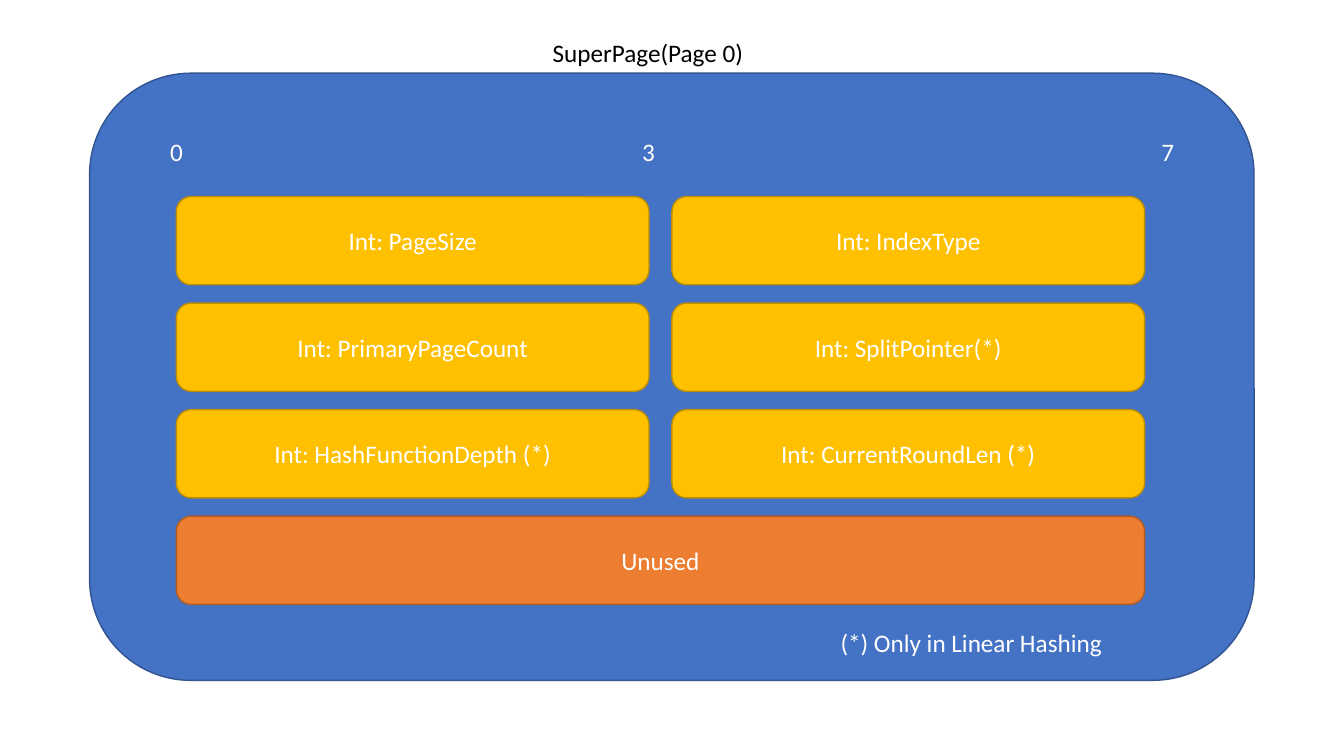
from dataclasses import dataclass

from pptx import Presentation
from pptx.dml.color import RGBColor
from pptx.enum.shapes import MSO_SHAPE
from pptx.enum.text import MSO_ANCHOR, MSO_AUTO_SIZE, PP_ALIGN
from pptx.util import Pt

ROUNDED = MSO_SHAPE.ROUNDED_RECTANGLE
TOP, MIDDLE = MSO_ANCHOR.TOP, MSO_ANCHOR.MIDDLE
LEFT, CENTER = PP_ALIGN.LEFT, PP_ALIGN.CENTER
FIT_SHAPE = MSO_AUTO_SIZE.SHAPE_TO_FIT_TEXT


@dataclass(frozen=True)
class Theme:
    font: str = "Calibri"
    size: int = 18
    line_width: int = 1
    dark: str = "000000"
    light: str = "FFFFFF"
    # Fill and line of each kind of box
    page: tuple = ("4472C4", "325491")
    field: tuple = ("FFC000", "BD8E00")
    unused: tuple = ("ED7D31", "AF5C24")


theme = Theme()


def write(sp, text, color, align, anchor):
    tf = sp.text_frame
    tf.vertical_anchor = anchor
    p = tf.paragraphs[0]
    p.alignment = align
    r = p.add_run()
    r.text = text
    r.font.name = theme.font
    r.font.size = Pt(theme.size)
    r.font.color.rgb = RGBColor.from_string(color)


def add_box(x, y, w, h, colors, text=None):
    sp = s.shapes.add_shape(ROUNDED, Pt(x), Pt(y), Pt(w), Pt(h))
    sp.shadow.inherit = False
    fill, line = colors
    sp.fill.solid()
    sp.fill.fore_color.rgb = RGBColor.from_string(fill)
    sp.line.color.rgb = RGBColor.from_string(line)
    sp.line.width = Pt(theme.line_width)
    if text:
        write(sp, text, theme.light, CENTER, MIDDLE)


prs = Presentation()
prs.slide_width, prs.slide_height = Pt(960), Pt(540)
s = prs.slides.add_slide(prs.slide_layouts[5])

# Title
label_h = 29
title = s.shapes.title
title.left, title.top, title.width, title.height = Pt(387.5), Pt(23), Pt(152.5), Pt(label_h)
title.text_frame.word_wrap = False
title.text_frame.auto_size = FIT_SHAPE
write(title, "SuperPage(Page 0)", theme.dark, LEFT, TOP)

# Page outline
add_box(64, 52.3, 831.8, 433.7, theme.page)

# Byte offsets and footnote
labels = [
    (114.5, 93.8, 24, "0"),
    (451.5, 93.8, 24, "3"),
    (822.5, 93.8, 24, "7"),
    (593.3, 444.5, 204, "(*) Only in Linear Hashing"),
]
for x, y, w, text in labels:
    tb = s.shapes.add_textbox(Pt(x), Pt(y), Pt(w), Pt(label_h))
    tb.text_frame.word_wrap = False
    tb.text_frame.auto_size = FIT_SHAPE
    write(tb, text, theme.light, LEFT, TOP)

# Grid of integer fields
grid_x, grid_y = 126, 140.4
field_w, field_h = 337.6, 63
col_step, row_step = 354, 76.1
fields = [
    ("PageSize", "IndexType"),
    ("PrimaryPageCount", "SplitPointer(*)"),
    ("HashFunctionDepth (*)", "CurrentRoundLen (*)"),
]
for row, names in enumerate(fields):
    for col, name in enumerate(names):
        add_box(grid_x + col * col_step, grid_y + row * row_step,
                field_w, field_h, theme.field, f"Int: {name}")

# Unused space across both columns
add_box(grid_x, grid_y + len(fields) * row_step,
        col_step + field_w, field_h, theme.unused, "Unused")

prs.save("out.pptx")
